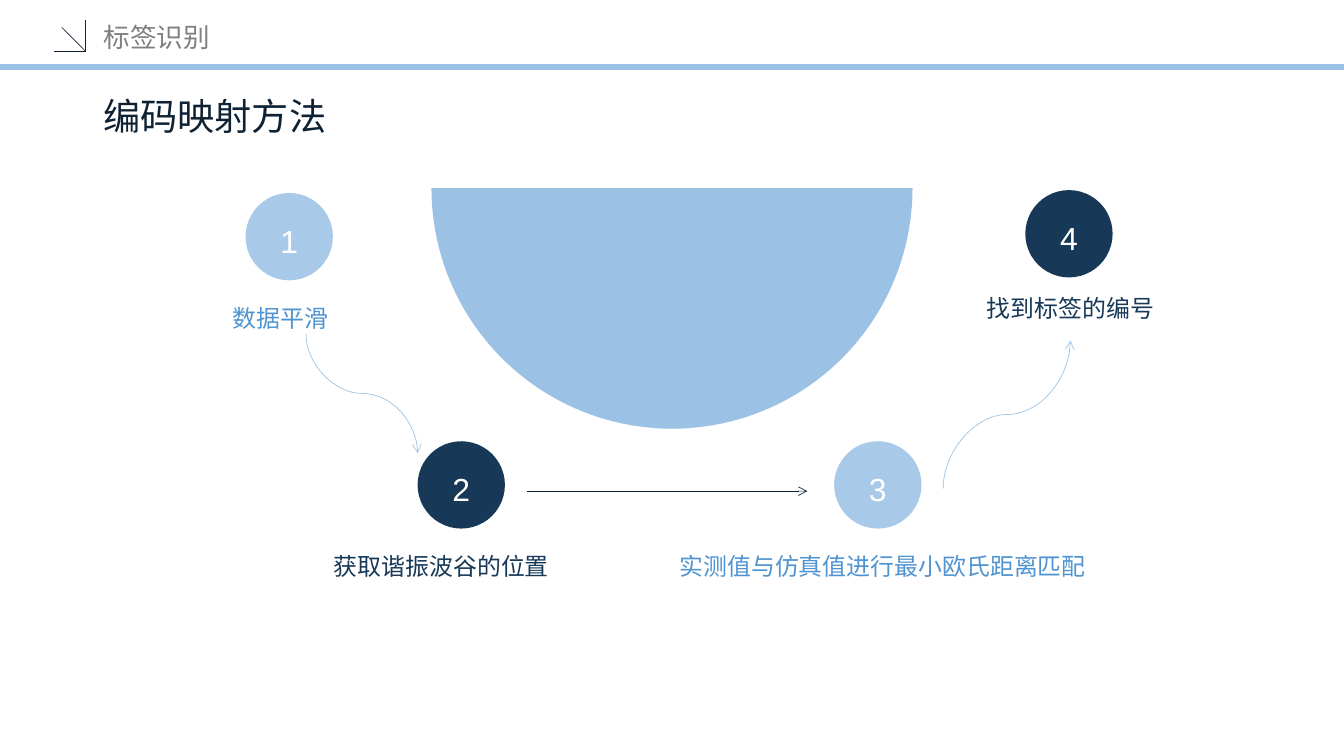
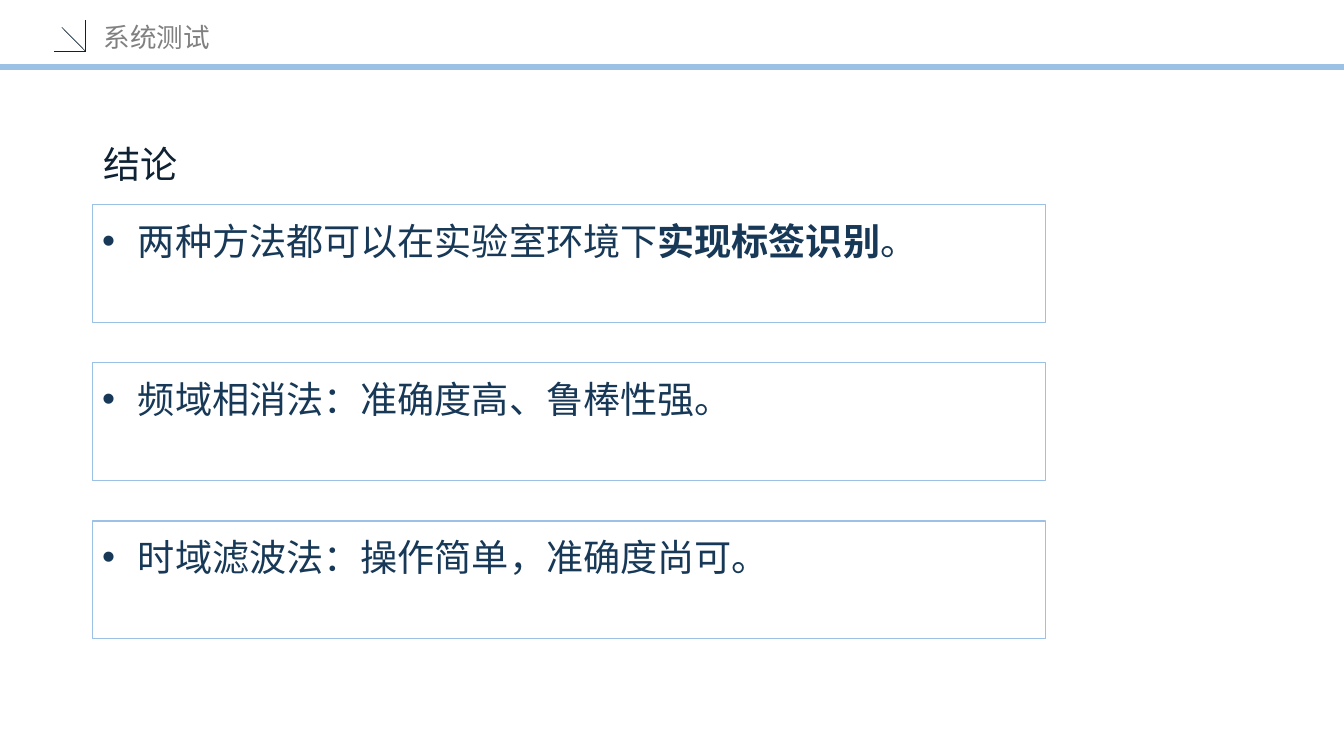
"""Build two slides on tag recognition: mapping steps and conclusions."""
import math

import lxml.etree
import pptx
import pptx.dml.color
import pptx.enum.shapes
import pptx.enum.text
import pptx.oxml.ns
import pptx.util

Pt = pptx.util.Pt
RGB = pptx.dml.color.RGBColor
SKY = RGB(0x9B, 0xC2, 0xE5)
PALE = RGB(0xA8, 0xC9, 0xE7)
BLUE = RGB(0x4F, 0x94, 0xD1)
NAVY = RGB(0x17, 0x39, 0x57)
INK = RGB(0x0E, 0x22, 0x34)
GREY = RGB(0x80, 0x80, 0x80)
WHITE = RGB(0xFF, 0xFF, 0xFF)
NOTO = "Noto Sans CJK SC"
WIDE, HIGH = 1012.5, 569.5
KIND = pptx.enum.shapes.MSO_SHAPE
JOIN = pptx.enum.shapes.MSO_CONNECTOR
ALIGN = pptx.enum.text.PP_ALIGN
MID = pptx.enum.text.MSO_ANCHOR.MIDDLE
TOP = pptx.enum.text.MSO_ANCHOR.TOP
FIT = pptx.enum.text.MSO_AUTO_SIZE.NONE


def pts(*nums):
    """Turn plain numbers into point lengths."""
    return [Pt(num) for num in nums]


def assign(item, vals):
    """Set each named value on the item."""
    for key, val in vals.items():
        setattr(item, key, val)


def add(root, tag, **vals):
    """Append a drawing element with the given attributes."""
    return lxml.etree.SubElement(root, pptx.oxml.ns.qn(tag), vals)


class Deck:
    """Holds the style and the current slide."""

    head = {"size": Pt(20), "name": NOTO, "bold": False}
    topic = {"size": Pt(28), "name": NOTO}
    label = {"size": Pt(18), "name": NOTO}
    digit = {"size": Pt(24), "name": "Arial"}
    point = {"size": Pt(28), "name": "Arial"}

    def __init__(self):
        self.show = pptx.Presentation()
        assign(self.show, {"slide_width": Pt(WIDE), "slide_height": Pt(HIGH)})
        self.plan = self.show.slide_layouts[5]
        self.slide = None

    def start(self, text):
        """Open a slide with its title; the first one sets up the layout."""
        first = self.slide is None
        self.slide = self.show.slides.add_slide(self.plan)
        if first:
            self.frame()
        title = self.slide.shapes.title
        self.place(title, 70, 11, 232.5, 34)
        self.letter(title, [text], self.head, GREY, pad=(8, 3.6))

    def frame(self):
        """Draw the band and corner mark, then move them to the layout."""
        marks = [self.line(0, 50.2, WIDE, 50.2, SKY, 4.5)]
        for spot in ((41, 38.8), (64.6, 14.8), (46.6, 20.6)):
            marks.append(self.line(64.6, 38.8, *spot, INK))
        for num, mark in enumerate(marks, 20):
            mark.element.nvCxnSpPr.cNvPr.id = num
            self.plan.shapes.element.append(mark.element)

    def place(self, item, *box):
        """Move and size an item."""
        assign(item, dict(zip(("left", "top", "width", "height"), pts(*box))))

    def letter(self, item, parts, style, color, pad=(0, 0), anchor=MID,
               align=ALIGN.LEFT, space=1.0, bullet=False):
        """Fill an item with one paragraph; every second part is bold."""
        frame = item.text_frame
        side, edge = pts(*pad)
        assign(frame, {"word_wrap": True, "auto_size": FIT,
                       "vertical_anchor": anchor,
                       "margin_left": side, "margin_right": side,
                       "margin_top": edge, "margin_bottom": edge})
        para = frame.paragraphs[0]
        assign(para, {"alignment": align, "line_spacing": space})
        if bullet:
            props = para._p.get_or_add_pPr()
            props.set("marL", str(Pt(27)))
            props.set("indent", str(-Pt(27)))
            add(props, "a:buFont", typeface="Arial")
            add(props, "a:buChar", char="•")
        for num, part in enumerate(parts):
            run = para.add_run()
            run.text = part
            assign(run.font, style)
            if num % 2:
                run.font.bold = True
            run.font.color.rgb = color
            add(run._r.get_or_add_rPr(), "a:ea", typeface=NOTO)

    def text(self, box, text, style, color, **form):
        """Add a text box."""
        item = self.slide.shapes.add_textbox(*pts(*box))
        self.letter(item, [text], style, color, **form)

    def paint(self, item, fill, edge=None):
        """Give a shape a flat fill and an optional thin edge."""
        item.shadow.inherit = False
        item.fill.solid()
        item.fill.fore_color.rgb = fill
        if edge is None:
            item.line.fill.background()
        else:
            item.line.color.rgb = edge
            item.line.width = Pt(1)

    def heading(self, top, text):
        """Add the topic line under the band."""
        self.text((70, top, 345, 34), text, self.topic, INK, pad=(8, 3.6))

    def step(self, num, spot, note, fill, color):
        """Add a numbered disc and its label."""
        disc = self.slide.shapes.add_shape(KIND.OVAL, *pts(*spot, 65.8, 65.8))
        self.paint(disc, fill)
        self.letter(disc, [str(num)], self.digit, WHITE, align=ALIGN.CENTER,
                    space=1.2)
        left, top, width, text = note
        self.text((left, top, width, 26), text, self.label, color, space=1.2)

    def bowl(self, mid, top, size):
        """Add a half disc with its flat side up."""
        arc = [(mid + size * math.cos(math.radians(deg)),
                top + size * math.sin(math.radians(deg)))
               for deg in range(0, 181, 2)]
        form = self.slide.shapes.build_freeform(*pts(*arc[0]), scale=1.0)
        form.add_line_segments([pts(*spot) for spot in arc[1:]], close=True)
        self.paint(form.convert_to_shape(), SKY)

    def line(self, x1, y1, x2, y2, color, width=0.5, arrow=False,
             kind=JOIN.STRAIGHT):
        """Add a line, with an arrowhead at its end if asked."""
        item = self.slide.shapes.add_connector(kind, *pts(x1, y1, x2, y2))
        item.line.color.rgb = color
        item.line.width = Pt(width)
        if arrow:
            add(item.line._get_or_add_ln(), "a:tailEnd", type="arrow")
        add(item.element.spPr, "a:effectLst")
        return item

    def curve(self, x1, y1, x2, y2):
        """Add a curved arrow that leaves and arrives upright."""
        midx, midy = (x1 + x2) / 2, (y1 + y2) / 2
        dx, dy = (x2 - x1) / 2, (y2 - y1) / 2
        run = abs(dy)
        rise = -dx if dy > 0 else dx
        item = self.line(midx - run, midy - rise, midx + run, midy + rise,
                         SKY, arrow=True, kind=JOIN.CURVE)
        item.rotation = 90 if dy > 0 else 270

    def panel(self, top, parts):
        """Add an outlined box with one bullet."""
        item = self.slide.shapes.add_shape(
            KIND.RECTANGLE, *pts(69.8, top, 718, 88.6))
        self.paint(item, WHITE, SKY)
        self.letter(item, parts, self.point, NAVY, pad=(7.2, 3.6), anchor=TOP,
                    space=1.2, bullet=True)


def main():
    """Build and save the deck."""
    deck = Deck()
    deck.start("标签识别")
    deck.heading(70, "编码映射方法")
    deck.bowl(WIDE / 2, 141.8, 181.2)
    steps = [
        ((185, 145.4), (175.5, 224.6, 138, "数据平滑")),
        ((314.6, 332.4), (251.5, 411, 248, "获取谐振波谷的位置")),
        ((628.4, 332.4), (511.9, 411, 314, "实测值与仿真值进行最小欧氏距离匹配")),
        ((772.4, 143.2), (743.5, 216.6, 172, "找到标签的编号")),
    ]
    for num, (spot, note) in enumerate(steps, 1):
        tone = (PALE, BLUE) if num % 2 else (NAVY, NAVY)
        deck.step(num, spot, note, *tone)
    deck.curve(230.5, 251.4, 314.7, 341.3)
    deck.curve(710.6, 368, 806.4, 256.5)
    deck.line(397.2, 370, 608.2, 370, INK, arrow=True)

    deck.start("系统测试")
    deck.heading(106, "结论")
    points = [
        ["两种方法都可以在实验室环境下", "实现标签识别", "。"],
        ["频域相消法：准确度高、鲁棒性强。"],
        ["时域滤波法：操作简单，准确度尚可。"],
    ]
    for num, parts in enumerate(points):
        deck.panel(154.2 + 119.1 * num, parts)
    deck.show.save("out.pptx")


if __name__ == "__main__":
    main()
